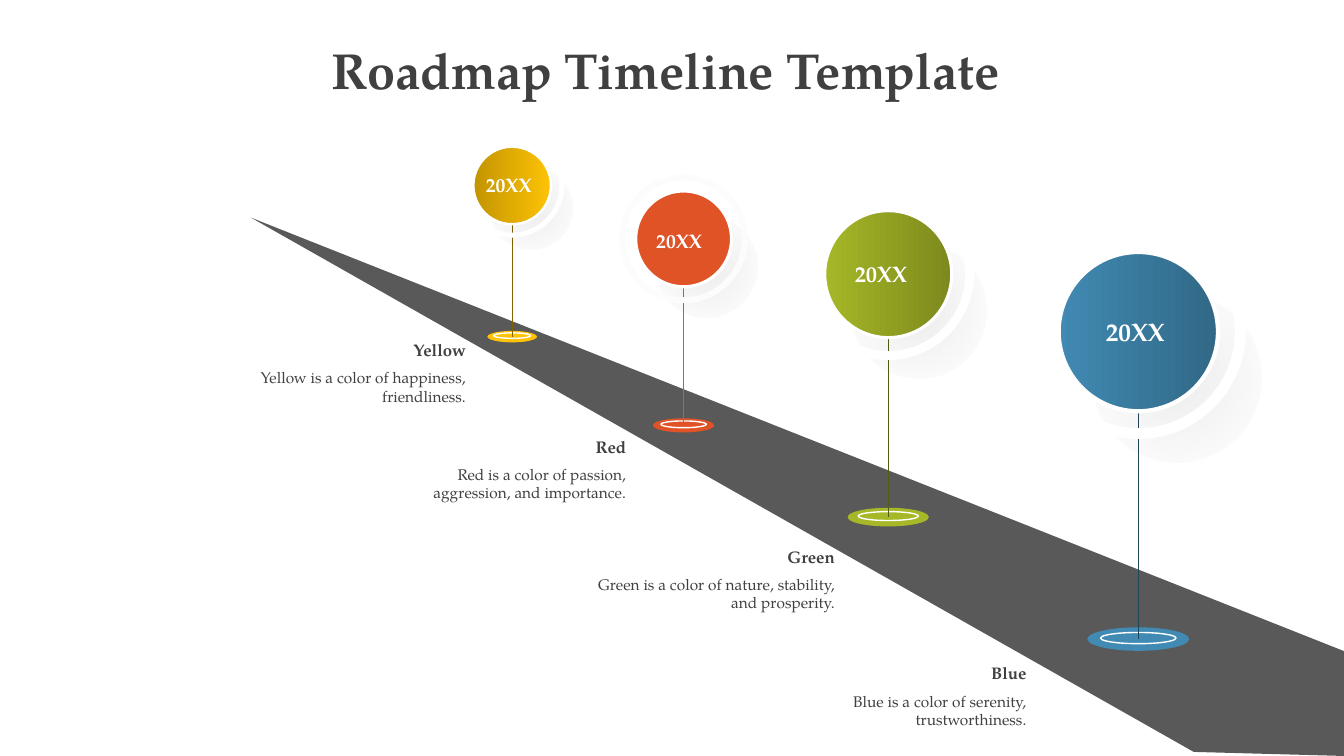
from lxml.etree import SubElement
from pptx import Presentation
from pptx.dml.color import RGBColor
from pptx.enum.shapes import MSO_CONNECTOR as Connector, MSO_SHAPE as Shape
from pptx.enum.text import MSO_ANCHOR as Anchor, PP_ALIGN as Align
from pptx.oxml.ns import qn
from pptx.util import Inches, Pt

WIDTH, HEIGHT = 13.33, 7.5
FONT, INK, WHITE = "TeX Gyre Pagella", "404040", "FFFFFF"
TITLE = "Roadmap Timeline Template"
ROAD_COLOR = "595959"
ROAD = [(2.49, 2.16), (WIDTH, 6.46), (WIDTH, HEIGHT), (11.84, 7.46)]

# Inches: x, disc_y, spot_y are centres; year and text are left, top corners
MILESTONES = [
    dict(name="Blue", about="Blue is a color of serenity, trustworthiness.",
         x=11.29, disc_y=3.29, size=1.58, spot_y=6.34, spot="418AB3",
         disc=("418AB3", "316886"), pin="20455A", ring=WHITE, edge=3, halo=7.75,
         year=(10.87, 3.09), year_size=18, text=(7.68, 6.53)),
    dict(name="Green", about="Green is a color of nature, stability, and prosperity.",
         x=8.81, disc_y=2.72, size=1.26, spot_y=5.13, spot="A6B727",
         disc=("A6B727", "7D891D"), pin="535C14", ring=WHITE, edge=2.25, halo=6.25,
         year=(8.38, 2.53), year_size=16, text=(5.78, 5.37)),
    dict(name="Red", about="Red is a color of passion, aggression, and importance.",
         x=6.78, disc_y=2.37, size=0.95, spot_y=4.22, spot="DF5327",
         disc=("DF5327", "DF5327"), pin="B86E00", ring="FCFCFC", edge=2.25, halo=4.25,
         year=(6.41, 2.22), year_size=14, text=(3.71, 4.28)),
    dict(name="Yellow", about="Yellow is a color of happiness, friendliness.",
         x=5.08, disc_y=1.84, size=0.77, spot_y=3.34, spot="FEC306",
         disc=("C29401", "FEC306"), pin="816301", ring=WHITE, edge=1.75, halo=3.5,
         year=(4.72, 1.67), year_size=14, text=(2.12, 3.32)),
]
YEAR = "20XX"
# Shares of the disc diameter
RING, SHADE, SHADE_DX, SHADE_DY, SPOT = 1.28, 1.07, 0.24, 0.29, 0.64


def rgb(value):
    return RGBColor.from_string(value)


def paint(shape, fill=None, line=None, weight=1):
    """Fill with nothing, one colour, or a left-to-right pair of colours."""
    shape.shadow.inherit = False
    if fill is None:
        shape.fill.background()
    elif isinstance(fill, str):
        shape.fill.solid()
        shape.fill.fore_color.rgb = rgb(fill)
    else:
        shape.fill.gradient()
        shape.fill.gradient_angle = 0
        for stop, color in zip(shape.fill.gradient_stops, fill):
            stop.color.rgb = rgb(color)
    if line:
        shape.line.color.rgb = rgb(line)
        shape.line.width = Pt(weight)
    else:
        shape.line.fill.background()


def ellipse(x, y, width, height, **style):
    """Draw an ellipse around the centre x, y."""
    oval = slide.shapes.add_shape(Shape.OVAL, Inches(x - width / 2), Inches(y - height / 2),
                                  Inches(width), Inches(height))
    paint(oval, **style)
    return oval


def soft_shade(x, y, size):
    """Draw a dark disc that fades out toward its edge."""
    shade = ellipse(x, y, size, size, fill=("0D0D0D", "0D0D0D"))
    gradient = shade.fill._xPr.find(qn("a:gradFill"))
    for color, alpha in zip(gradient.iter(qn("a:srgbClr")), (8000, 0)):
        SubElement(color, qn("a:alpha"), val=str(alpha))
    gradient.remove(gradient.find(qn("a:lin")))
    radial = SubElement(gradient, qn("a:path"))
    radial.set("path", "circle")
    SubElement(radial, qn("a:fillToRect"), l="50000", t="50000", r="50000", b="50000")


def write(frame, lines, align, color):
    """Write (text, size, bold) lines as paragraphs."""
    frame.word_wrap = True
    frame.vertical_anchor = Anchor.TOP
    for index, (text, size, bold) in enumerate(lines):
        paragraph = frame.add_paragraph() if index else frame.paragraphs[0]
        paragraph.text = text
        paragraph.alignment = align
        paragraph.space_after = Pt(6 if len(lines) > 1 else 0)
        font = paragraph.font
        font.name, font.size, font.bold = FONT, Pt(size), bold
        font.color.rgb = rgb(color)


def text_box(corner, width, height, lines, align, color):
    box = slide.shapes.add_textbox(*map(Inches, (*corner, width, height)))
    write(box.text_frame, lines, align, color)


def draw_spot(stop):
    width = SPOT * stop["size"]
    ellipse(stop["x"], stop["spot_y"], width, 0.23 * width, fill=stop["spot"])
    ellipse(stop["x"], stop["spot_y"] - 0.01, 0.74 * width, 0.11 * width, line=WHITE)


def draw_pin(stop):
    x, y, size = stop["x"], stop["disc_y"], stop["size"]
    pin = slide.shapes.add_connector(Connector.STRAIGHT, Inches(x), Inches(y + 0.35 * size),
                                     Inches(x), Inches(stop["spot_y"]))
    pin.line.color.rgb = rgb(stop["pin"])
    pin.line.width = Pt(0.5)
    SubElement(pin._element.spPr, qn("a:effectLst"))
    soft_shade(x + SHADE_DX * size, y + SHADE_DY * size, SHADE * size)
    ellipse(x, y, RING * size, RING * size, line=stop["ring"], weight=stop["halo"])
    ellipse(x, y, size, size, fill=stop["disc"], line=WHITE, weight=stop["edge"])


deck = Presentation()
deck.slide_width, deck.slide_height = Inches(WIDTH), Inches(HEIGHT)
slide = deck.slides.add_slide(deck.slide_layouts[5])

title = slide.shapes.title
title.left, title.top = Inches(0), Inches(0.34)
title.width, title.height = Inches(WIDTH - 0.13), Inches(0.71)
write(title.text_frame, [(TITLE, 36, True)], Align.CENTER, INK)

start, *corners = [(Inches(x), Inches(y)) for x, y in ROAD]
outline = slide.shapes.build_freeform(*start)
outline.add_line_segments(corners, close=True)
paint(outline.convert_to_shape(), fill=ROAD_COLOR)

for stop in MILESTONES:
    draw_spot(stop)
for stop in MILESTONES:
    draw_pin(stop)
    text_box(stop["year"], 0.85, 0.4, [(YEAR, stop["year_size"], True)], Align.LEFT, WHITE)
    text_box(stop["text"], 2.6, 0.76,
             [(stop["name"], 12, True), (stop["about"], 11, False)], Align.RIGHT, INK)

deck.save("out.pptx")
